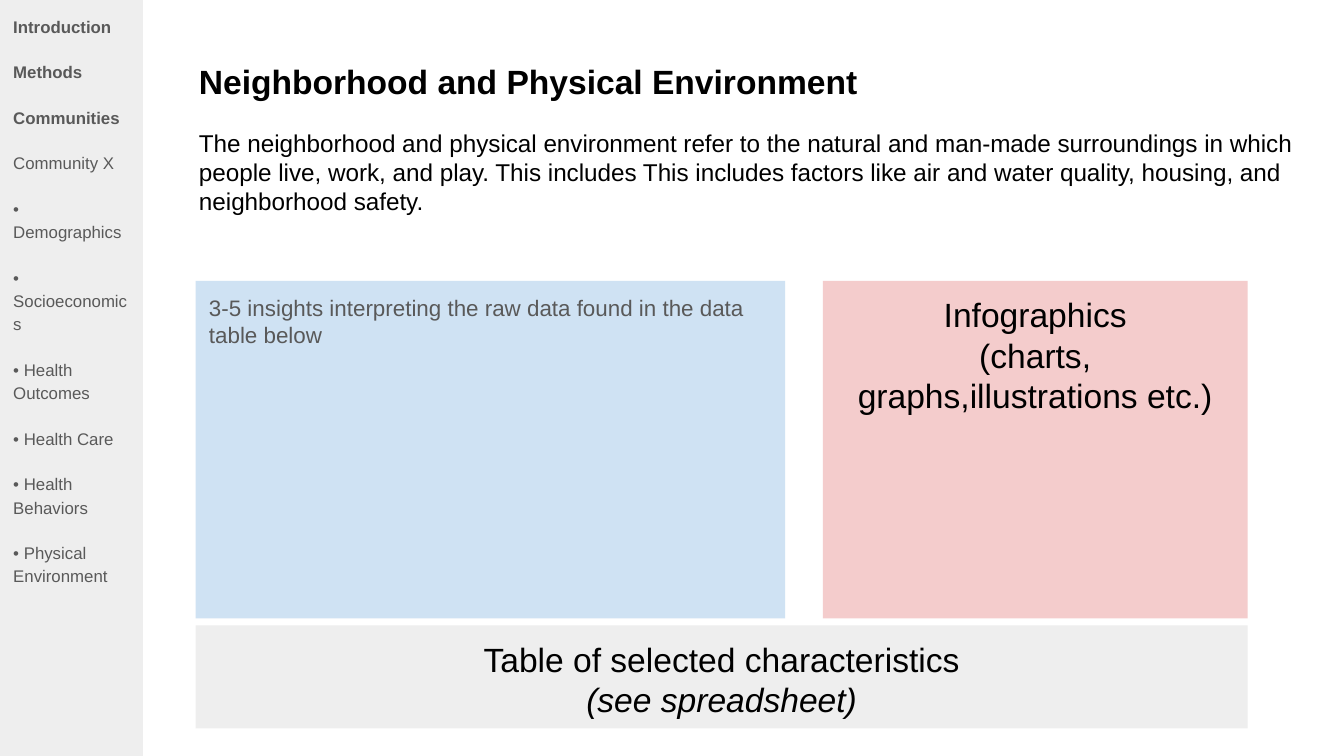
"""Build the neighborhood and physical environment slide."""
from dataclasses import dataclass

from lxml import etree
from pptx import Presentation, util as u
from pptx.dml.color import RGBColor
from pptx.enum import shapes, text
from pptx.oxml import ns

BLACK = RGBColor(0x00, 0x00, 0x00)
GREY = RGBColor(0x59, 0x59, 0x59)
PALE_GREY = RGBColor(0xEE, 0xEE, 0xEE)
PINK = RGBColor(0xF4, 0xCC, 0xCC)
BLUE = RGBColor(0xCF, 0xE2, 0xF3)

LEFT, ALIGN_CENTER = text.PP_ALIGN.LEFT, text.PP_ALIGN.CENTER
SECTIONS = ("Introduction", "Methods", "Communities")
TOPICS = ("Demographics", "Socioeconomics", "Health Outcomes",
          "Health Care", "Health Behaviors", "Physical Environment")


@dataclass(frozen=True)
class Line:
    words: str
    size: float = 18
    color: RGBColor = BLACK
    bold: bool = False
    italic: bool = False
    align: text.PP_ALIGN = LEFT
    before: float = 0
    after: float = 0
    spacing: float = 1.0


@dataclass(frozen=True)
class Area:
    left: float
    top: float
    width: float
    height: float


@dataclass(frozen=True)
class Panel:
    area: Area
    fill: RGBColor
    lines: tuple[Line, ...]


def place(box, area: Area) -> None:
    """Move and size a box in centimetres."""
    box.left, box.top = u.Cm(area.left), u.Cm(area.top)
    box.width, box.height = u.Cm(area.width), u.Cm(area.height)


def write(box, lines: tuple[Line, ...]) -> None:
    """Write formatted lines from the top of a box."""
    frame = box.text_frame
    frame.word_wrap = True
    frame.auto_size = text.MSO_AUTO_SIZE.NONE
    frame.vertical_anchor = text.MSO_ANCHOR.TOP
    frame.margin_left = frame.margin_right = u.Cm(0.25)
    frame.margin_top = frame.margin_bottom = u.Cm(0.25)
    for index, line in enumerate(lines):
        para = frame.add_paragraph() if index else frame.paragraphs[0]
        para.alignment = line.align
        para.line_spacing = line.spacing
        para.space_before, para.space_after = u.Pt(line.before), u.Pt(line.after)
        span = para.add_run()
        span.text = line.words
        span.font.name, span.font.size = "Arial", u.Pt(line.size)
        span.font.bold, span.font.italic = line.bold, line.italic
        span.font.color.rgb = line.color


def clear_bullets(box) -> None:
    """Remove inherited bullets and indents from a placeholder."""
    for para in box.text_frame.paragraphs:
        props = para._p.get_or_add_pPr()
        props.set("marL", "0")
        props.set("indent", "0")
        etree.SubElement(props, ns.qn("a:buNone"))


def draw_panel(page, panel: Panel) -> None:
    """Draw a filled rectangle with its text."""
    box = page.shapes.add_shape(shapes.MSO_SHAPE.RECTANGLE, 0, 0, 0, 0)
    place(box, panel.area)
    box.shadow.inherit = False
    box.fill.solid()
    box.fill.fore_color.rgb = panel.fill
    box.line.fill.background()
    write(box, panel.lines)


def draw_sidebar(box, height: float) -> None:
    """Fill the body placeholder with the navigation list."""
    entries = (*SECTIONS, "Community X", *(f"• {topic}" for topic in TOPICS))
    last = len(entries) - 1
    place(box, Area(0, 0, 2.7, height))
    box.fill.solid()
    box.fill.fore_color.rgb = PALE_GREY
    write(box, tuple(
        Line(entry, 9, GREY, bold=entry in SECTIONS, before=12 if index else 0,
             after=12 if index == last else 0, spacing=1.15)
        for index, entry in enumerate(entries)))
    clear_bullets(box)


def main() -> None:
    """Assemble and save the deck."""
    height = 14.29
    left, right, top, panel_height = 3.7, 23.58, 5.31, 6.38
    insights_width, graphics_width = 11.14, 8.03
    table_top = 11.82

    deck = Presentation()
    deck.slide_width, deck.slide_height = u.Cm(25.4), u.Cm(height)
    page = deck.slides.add_slide(deck.slide_layouts[1])
    draw_sidebar(page.placeholders[1], height)

    heading = page.shapes.title
    place(heading, Area(3.51, 0.91, 21.41, 4.93))
    write(heading, (
        Line("Neighborhood and Physical Environment", bold=True),
        Line("The neighborhood and physical environment refer to the natural "
             "and man-made surroundings in which people live, work, and play. "
             "This includes This includes factors like air and water quality, "
             "housing, and neighborhood safety.", 13, before=14)))

    panels = (
        Panel(Area(left, table_top, right - left, 1.95), PALE_GREY, (
            Line("Table of selected characteristics", align=ALIGN_CENTER),
            Line("(see spreadsheet)", italic=True, align=ALIGN_CENTER))),
        Panel(Area(right - graphics_width, top, graphics_width, panel_height), PINK, (
            Line("Infographics", align=ALIGN_CENTER),
            Line("(charts, graphs,illustrations etc.)", align=ALIGN_CENTER))),
        Panel(Area(left, top, insights_width, panel_height), BLUE, (
            Line("3-5 insights interpreting the raw data found in the data "
                 "table below", 12, GREY),)),
    )
    for panel in panels:
        draw_panel(page, panel)
    deck.save("out.pptx")


if __name__ == "__main__":
    main()
